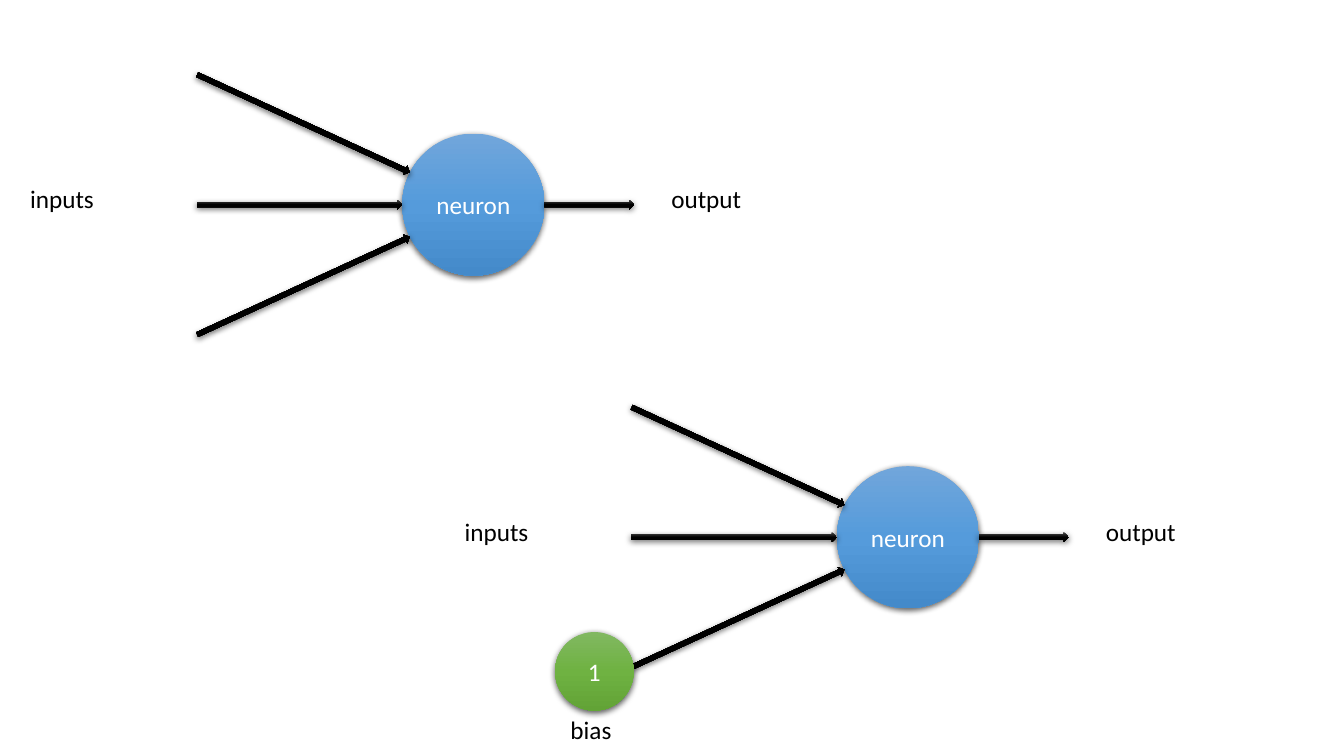
from copy import deepcopy
from lxml import etree
from pptx import Presentation
from pptx import util as u
from pptx.dml.color import RGBColor
from pptx.enum import shapes, text
from pptx.oxml import ns

CELL = 0.1
ARROW = 1.0
BLUE = ("71A6DB", "559BDB", "448ACA")
GREEN = ("81B861", "6FB242", "62A336")
BLACK = ("4B4B4B", "000000", "000000")


def rgb(value):
    return RGBColor.from_string(value)


def grid(*cells):
    return [u.Inches(c * CELL) for c in cells]


def add_shadow(sp):
    sp.shadow.inherit = False
    effects = sp._element.spPr.find(ns.qn("a:effectLst"))
    outer = etree.SubElement(effects, ns.qn("a:outerShdw"), blurRad=str(u.Pt(4.5)),
                             dist=str(u.Pt(1.5)), dir="5400000", rotWithShape="0")
    color = etree.SubElement(outer, ns.qn("a:srgbClr"), val="000000")
    etree.SubElement(color, ns.qn("a:alpha"), val="63000")


def add_glossy(s, kind, box, colors):
    sp = s.shapes.add_shape(kind, *grid(*box))
    sp.fill.gradient()
    sp.fill.gradient_angle = 270
    first = sp._element.spPr.find(".//" + ns.qn("a:gs"))
    first.addnext(deepcopy(first))
    for stop, position, color in zip(sp.fill.gradient_stops, (0, 0.5, 1), colors):
        stop.position = position
        stop.color.rgb = rgb(color)
    sp.line.fill.background()
    add_shadow(sp)
    return sp


def write(tf, words, color):
    p = tf.paragraphs[0]
    p.text = words
    p.font.size = u.Pt(18)
    p.font.name = "Calibri"
    p.font.color.rgb = rgb(color)
    return p


def add_circle(s, cx, cy, size, words, colors):
    box = (cx - size / 2, cy - size / 2, size, size)
    sp = add_glossy(s, shapes.MSO_SHAPE.OVAL, box, colors)
    sp.text_frame.vertical_anchor = text.MSO_ANCHOR.MIDDLE
    write(sp.text_frame, words, "FFFFFF").alignment = text.PP_ALIGN.CENTER


def add_arrow(s, x, cy, length, angle=0):
    box = (x, cy - ARROW / 2, length, ARROW)
    sp = add_glossy(s, shapes.MSO_SHAPE.RIGHT_ARROW, box, BLACK)
    sp.rotation = angle
    if angle > 0:
        sp._element.spPr.xfrm.set("flipV", "1")


def add_label(s, x, y, width, words):
    tf = s.shapes.add_textbox(*grid(x, y, width, 4)).text_frame
    tf.word_wrap = False
    tf.auto_size = text.MSO_AUTO_SIZE.SHAPE_TO_FIT_TEXT
    write(tf, words, "000000")


def add_neuron(s, x, y, height):
    middle = y + height / 2
    add_circle(s, x + 44.95, middle, 14.1, "neuron", BLUE)
    add_arrow(s, x + 17.5, middle, 20.4)
    add_arrow(s, x + 52, middle, 8.9)
    for side in (1, -1):
        add_arrow(s, x + 16.5, middle + side * 8.05, 23.2, -side * 24.7)
    add_label(s, x, middle - 2.6, 8.5, "inputs")
    add_label(s, x + 63.6, middle - 2.6, 9, "output")


def add_bias(s, x, y):
    add_circle(s, x, y, 7.8, "1", GREEN)
    add_label(s, x - 3.35, y + 3.8, 6.7, "bias")


def main():
    prs = Presentation()
    prs.slide_width, prs.slide_height = u.Inches(13.33), u.Inches(7.5)
    s = prs.slides.add_slide(prs.slide_layouts[6])
    height = 26.6
    for x, y in ((2, 7), (45.1, 40)):
        add_neuron(s, x, y, height)
    add_bias(s, x + 13.85, y + height)
    prs.save("out.pptx")


if __name__ == "__main__":
    main()
